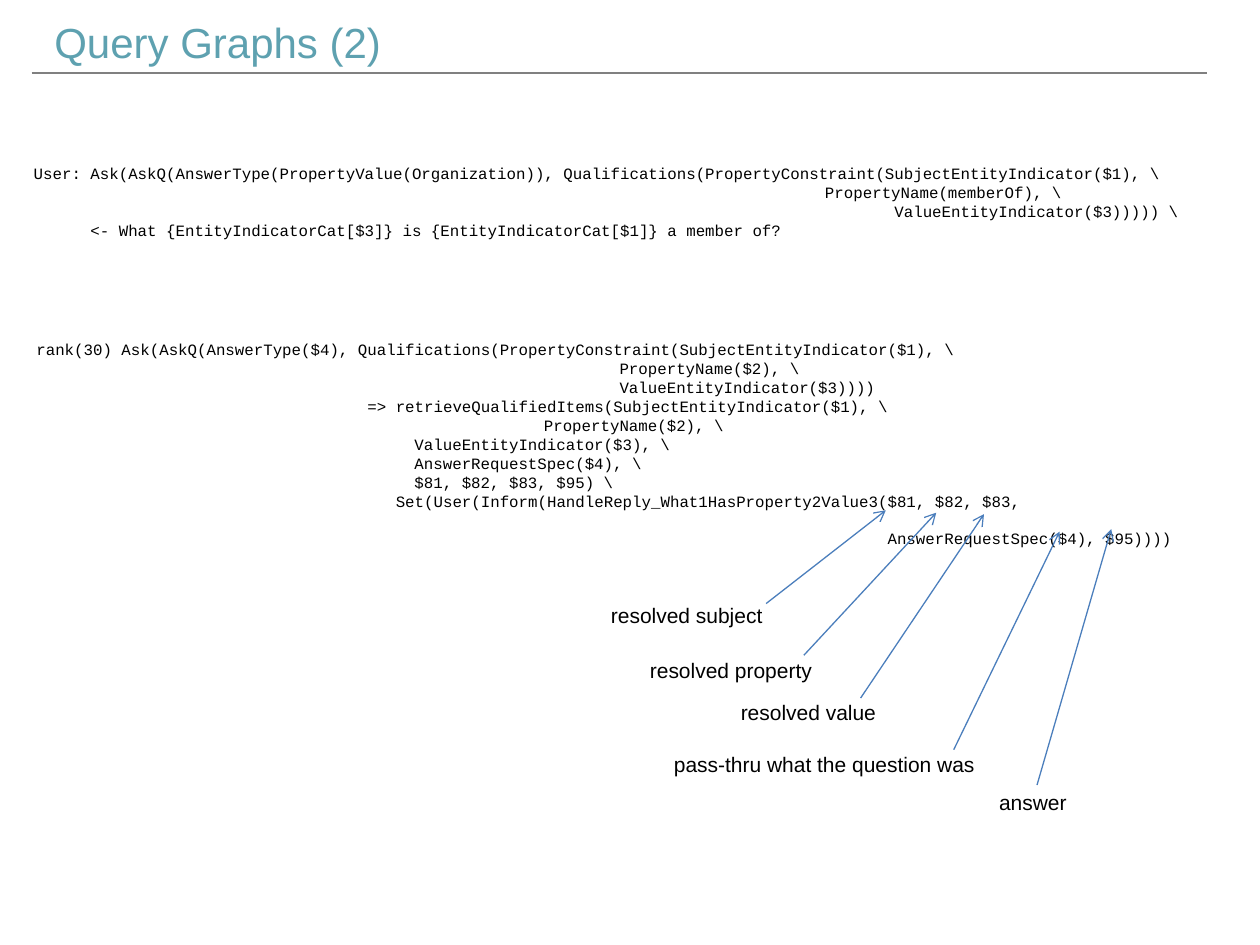
from pptx import Presentation
from pptx.dml.color import RGBColor
from pptx.enum.shapes import MSO_CONNECTOR
from pptx.enum.text import MSO_ANCHOR, MSO_AUTO_SIZE, PP_ALIGN
from pptx.oxml.ns import qn
from pptx.util import Pt
from lxml.etree import SubElement

USER_QUESTION = [
    (0, 0, "User: Ask(AskQ(AnswerType(PropertyValue(Organization)), "
           "Qualifications(PropertyConstraint(SubjectEntityIndicator($1), \\"),
    (1, 77, "PropertyName(memberOf), \\"),
    (0, 91, "ValueEntityIndicator($3))))) \\"),
    (0, 6, "<- What {EntityIndicatorCat[$3]} is {EntityIndicatorCat[$1]} a member of?"),
]
RANKED_RULE = [
    (0, 0, "rank(30) Ask(AskQ(AnswerType($4), "
           "Qualifications(PropertyConstraint(SubjectEntityIndicator($1), \\"),
    (1, 55, "PropertyName($2), \\"),
    (1, 55, "ValueEntityIndicator($3))))"),
    (0, 35, "=> retrieveQualifiedItems(SubjectEntityIndicator($1), \\"),
    (1, 47, "PropertyName($2), \\"),
    (3, 20, "ValueEntityIndicator($3), \\"),
    (3, 20, "AnswerRequestSpec($4), \\"),
    (3, 20, "$81, $82, $83, $95) \\"),
    (0, 38, "Set(User(Inform(HandleReply_What1HasProperty2Value3($81, $82, $83,"),
    (0, 90, "AnswerRequestSpec($4), $95))))"),
]
CALLOUTS = [
    ("resolved subject", (342, 340.5, 101.5), (437.8, 344.9), (506.2, 291.6)),
    ("resolved property", (364.3, 372.2, 108), (459.4, 374.4), (535, 293)),
    ("resolved value", (416.2, 396, 92.2), (491.8, 398.9), (562.3, 293.8)),
    ("pass-thru what the question was", (378, 426.2, 187.9), (545, 428.4), (605.5, 303.8)),
    ("answer", (563.8, 447.8, 53.3), (592.6, 448.6), (635, 302.4)),
]


def color(hex_value):
    return RGBColor.from_string(hex_value)


def style(paragraph, face, size, hex_value):
    paragraph.font.name = face
    paragraph.font.size = Pt(size)
    paragraph.font.color.rgb = color(hex_value)


def set_title(slide, text):
    title = slide.shapes.title
    title.left, title.top, title.width, title.height = Pt(23.8), Pt(5.8), Pt(203), Pt(36)
    frame = title.text_frame
    frame.text = text
    frame.word_wrap = False
    frame.auto_size = MSO_AUTO_SIZE.SHAPE_TO_FIT_TEXT
    frame.vertical_anchor = MSO_ANCHOR.TOP
    heading = frame.paragraphs[0]
    heading.alignment = PP_ALIGN.LEFT
    style(heading, "Arial", 24, "5EA1B0")


def add_line(slide, start, end, hex_value, weight, arrow=False):
    points = [Pt(value) for value in (*start, *end)]
    line = slide.shapes.add_connector(MSO_CONNECTOR.STRAIGHT, *points)
    line.line.color.rgb = color(hex_value)
    line.line.width = Pt(weight)
    properties = line._element.spPr
    if arrow:
        SubElement(properties.find(qn("a:ln")), qn("a:tailEnd"), type="arrow")
    SubElement(properties, qn("a:effectLst"))


def add_text_frame(slide, left, top, width, height, wrap):
    frame = slide.shapes.add_textbox(Pt(left), Pt(top), Pt(width), Pt(height)).text_frame
    frame.word_wrap = wrap
    frame.auto_size = MSO_AUTO_SIZE.SHAPE_TO_FIT_TEXT
    return frame


def add_code(slide, left, top, width, height, code):
    frame = add_text_frame(slide, left, top, width, height, True)
    frame.text = "\n".join("\t" * tabs + " " * spaces + text for tabs, spaces, text in code)
    for code_line in frame.paragraphs:
        code_line.line_spacing = Pt(10.8)
        style(code_line, "Courier New", 9, "000000")
    return frame


def add_label(slide, text, left, top, width):
    frame = add_text_frame(slide, left, top, width, 21.6, False)
    frame.text = text
    style(frame.paragraphs[0], "Arial", 12, "000000")


def main():
    presentation = Presentation()
    presentation.slide_width, presentation.slide_height = Pt(720), Pt(540)
    slide = presentation.slides.add_slide(presentation.slide_layouts[5])
    set_title(slide, "Query Graphs (2)")
    add_line(slide, (18, 41.8), (690, 41.8), "808080", 1)
    add_code(slide, 12.2, 90, 704.9, 61.9, USER_QUESTION)
    rule = add_code(slide, 13.7, 190.8, 689.8, 116.6, RANKED_RULE)
    rule.paragraphs[-1].space_before = Pt(10.4)
    for text, place, _, _ in CALLOUTS:
        add_label(slide, text, *place)
    for _, _, start, end in CALLOUTS:
        add_line(slide, start, end, "4B7EBC", 0.75, arrow=True)
    presentation.save("out.pptx")


if __name__ == "__main__":
    main()
